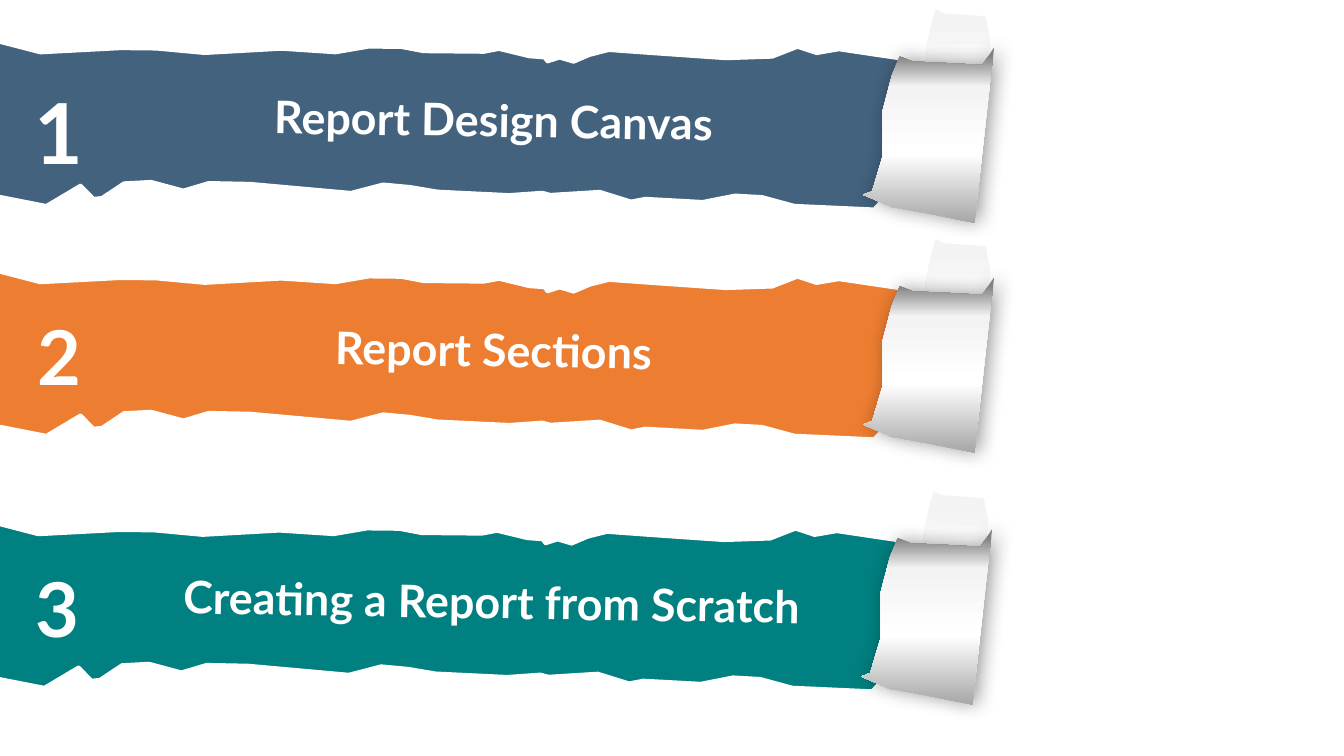
import math
import pptx
import pptx.dml.color
import pptx.enum.text
import pptx.oxml
import pptx.util

Inch = pptx.util.Inches
NS = 'xmlns:a="http://schemas.openxmlformats.org/drawingml/2006/main"'
TURN = 273
WHITE = "FFFFFF"

TOP = {"base": 0.5, "slope": 0.01, "dips": {
    -0.18: -7, 0: -8, 0.4: 2, 1.2: -3, 1.55: -3, 2.03: 1, 2.79: -4, 3.33: -1,
    3.66: -7, 3.98: -7, 4.2: -3, 4.8: -3, 4.95: -6, 5.25: 1, 5.4: 2, 5.43: 6,
    5.55: 2, 5.69: 6, 5.85: -1, 6.04: -6, 6.53: -3, 7.2: 1, 7.66: -1,
    7.91: -11, 8.1: -5, 8.32: -9, 9.04: 1}}
FOOT = {"base": 1.83, "slope": 0.02, "dips": {
    -0.17: -21, -0.05: 11, 0.46: 20, 0.8: -1, 0.93: 12, 1.01: 11, 1.23: -4,
    1.5: -6, 1.82: 2, 2.07: -6, 2.48: -6, 3.48: 1, 3.8: -8, 4.07: -6, 4.34: -2,
    5.05: 0, 5.38: -3, 5.46: -1, 5.95: -5, 6.26: 4, 6.4: 1, 6.97: 3, 7.29: -4,
    7.56: -3, 7.88: 5, 8.67: 7, 8.84: -12}}

HEM = [(0, 0.84), (0.22, 0.91), (0.52, 0.95), (0.85, 1), (0.96, 0.26)]
TIP = [(1, 0)]
BRIM = [(0.91, 0.1), (0.67, 0.09), (0.38, 0.08), (0.28, 0.05)]
SIDE = [(0.22, 0.16), (0.15, 0.36), (0.15, 0.62), (0.07, 0.82)]

PALE = {8: "F3F3F3", 62: WHITE, 100: "A6A6A6"}
SHADE = {8: "808080", 25: "F3F3F3", 62: WHITE, 100: "A6A6A6"}


def color(code):
    """Turn a hex string into a colour."""
    return pptx.dml.color.RGBColor.from_string(code)


def tear(edge):
    """Lay dips, in hundredths of an inch, along a sloping base line."""
    return [(x, edge["base"] + edge["slope"] * x + dip / 100)
            for x, dip in edge["dips"].items()]


def fit(unit, box):
    """Stretch an outline of fractions over a box."""
    left, top, wide, high = box
    return [(left + x * wide, top + y * high) for x, y in unit]


def spin(dots, mid, angle):
    """Turn points clockwise about a middle."""
    cos, sin = math.cos(math.radians(angle)), math.sin(math.radians(angle))
    return [(mid[0] + (x - mid[0]) * cos - (y - mid[1]) * sin,
             mid[1] + (x - mid[0]) * sin + (y - mid[1]) * cos) for x, y in dots]


def center(dots):
    """Find the middle of the box around points."""
    return [(min(axis) + max(axis)) / 2 for axis in zip(*dots)]


class Deck:
    """Hold the style and the current slide."""

    def __init__(self, file):
        """Add a blank slide."""
        self.slide = file.slides.add_slide(file.slide_layouts[6])
        self.style = {"name": "Lato", "bold": True}

    def outline(self, home, dots, move):
        """Draw a closed shape that shows the points once it is turned."""
        flat = spin(dots, center(dots), -TURN)
        mid = center(flat)
        back = spin(flat, mid, TURN)
        drift = [a - b for a, b in zip(center(dots), center(back))]
        flat = [(Inch(x + drift[0] + move[0]), Inch(y + drift[1] + move[1]))
                for x, y in flat]
        pen = home.build_freeform(*flat[0], scale=1.0)
        pen.add_line_segments(flat[1:], close=True)
        shape = pen.convert_to_shape()
        shape.rotation = TURN
        shape.shadow.inherit = False
        return shape

    def strip(self, move, fill):
        """Draw a torn strip in one colour."""
        dots = tear(TOP) + tear(FOOT)[::-1]
        shape = self.outline(self.slide.shapes, dots, move)
        shape.fill.solid()
        shape.fill.fore_color.rgb = color(fill)
        shape.line.color.rgb = color(WHITE)
        shape.line.width = pptx.util.Pt(2.25)

    def fold(self, home, dots, move, stops):
        """Draw a piece of curled paper with a downward gradient."""
        shape = self.outline(home, dots, move)
        shape.line.fill.background()
        marks = "".join(f'<a:gs pos="{at * 1000}"><a:srgbClr val="{code}"/></a:gs>'
                        for at, code in stops.items())
        fill = pptx.oxml.parse_xml(
            f'<a:gradFill {NS} rotWithShape="0"><a:gsLst>{marks}</a:gsLst>'
            '<a:lin ang="5400000" scaled="0"/></a:gradFill>')
        shape._element.spPr.find("{*}ln").addprevious(fill)
        return shape

    def glow(self, shape):
        """Cast a soft shadow to the right."""
        cast = pptx.oxml.parse_xml(
            f'<a:outerShdw {NS} blurRad="{pptx.util.Pt(14)}" dist="{pptx.util.Pt(3)}" '
            'dir="0" algn="ctr" rotWithShape="0"><a:srgbClr val="000000">'
            '<a:alpha val="40000"/></a:srgbClr></a:outerShdw>')
        shape._element.spPr.find("{*}effectLst").append(cast)

    def curl(self, move):
        """Group a small blunt fold behind a large pointed one."""
        home = self.slide.shapes.add_group_shape().shapes
        blunt = fit(HEM + BRIM + SIDE, (9.06, 0.02, 0.79, 1.42))
        point = fit(HEM + TIP + BRIM + SIDE, (8.56, 0.47, 1.3, 1.74))
        self.fold(home, blunt, move, PALE)
        self.glow(self.fold(home, point, move, SHADE))

    def text(self, words, box, size, turn=0):
        """Write a centred white label."""
        shape = self.slide.shapes.add_textbox(*map(Inch, box))
        shape.rotation = turn
        frame = shape.text_frame
        frame.word_wrap = True
        frame.auto_size = pptx.enum.text.MSO_AUTO_SIZE.SHAPE_TO_FIT_TEXT
        para = frame.paragraphs[0]
        para.alignment = pptx.enum.text.PP_ALIGN.CENTER
        run = para.add_run()
        run.text = words
        for key, value in {**self.style, "size": pptx.util.Pt(size)}.items():
            setattr(run.font, key, value)
        run.font.color.rgb = color(WHITE)


def main():
    """Build the slide and save it."""
    file = pptx.Presentation()
    file.slide_width, file.slide_height = Inch(13.33), Inch(7.5)
    deck = Deck(file)
    rows = [
        ("Report Design Canvas", "43627E", (0, 0), 60, 1.11),
        ("Report Sections", "ED7D31", (0, 2.28), 54, 0.71),
        ("Creating a Report from Scratch", "008080", (-0.02, 4.78), 54, 1.01)]
    for num, (title, fill, move, size, high) in enumerate(rows, 1):
        x, y = move
        deck.strip(move, fill)
        deck.curl(move)
        deck.text(str(num), (0.23 + x, 0.75 + y, 0.71, high), size)
        deck.text(title, (1.24 + x, 0.87 + y, 7.31, 0.64), 32, 1)
    file.save("out.pptx")


if __name__ == "__main__":
    main()
